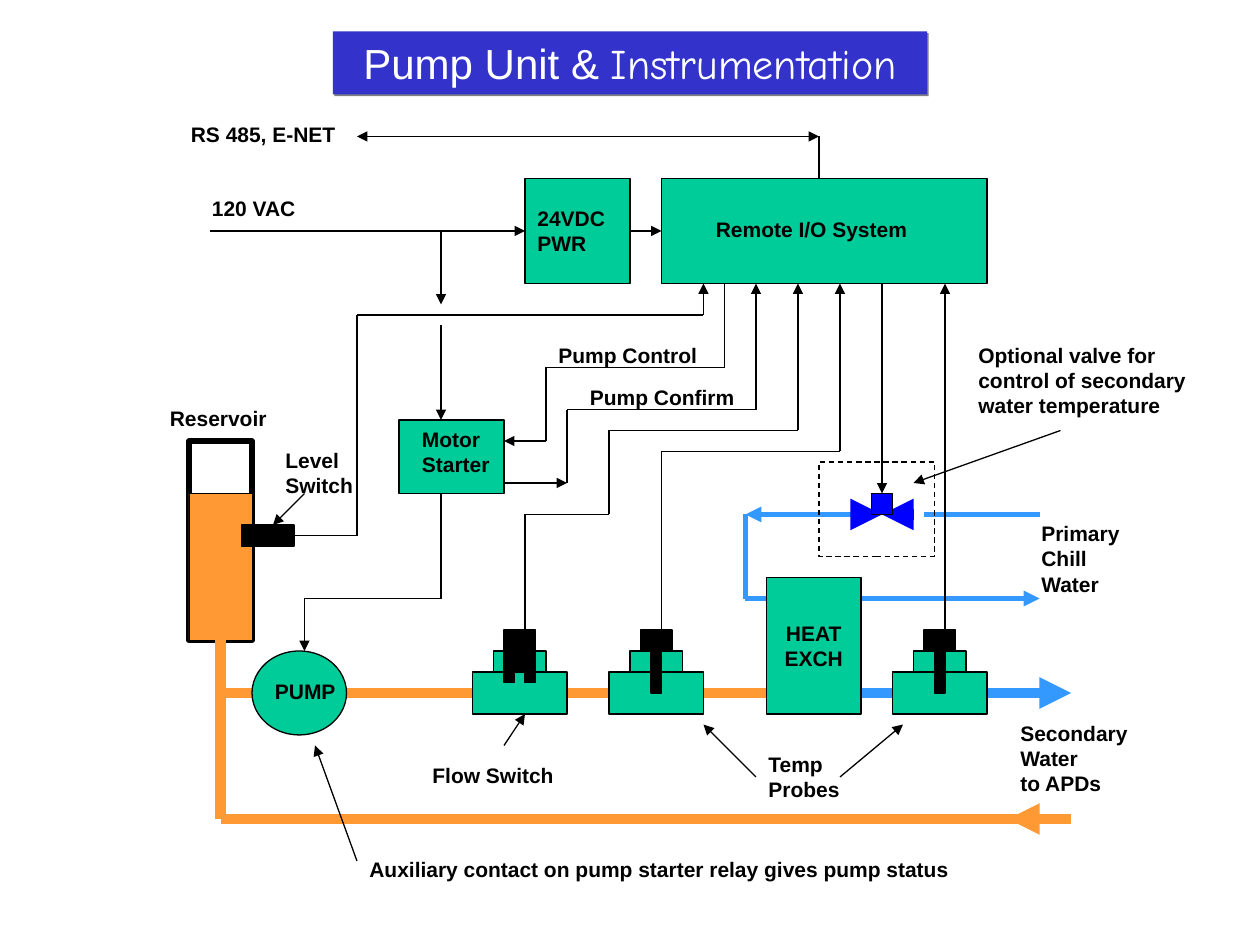
from dataclasses import dataclass
from itertools import pairwise

from lxml import etree
from pptx import Presentation
from pptx import util as u
from pptx.dml.color import RGBColor
from pptx.enum import dml, shapes, text
from pptx.oxml.ns import qn

COLORS = {
    "black": "000000", "white": "FFFFFF", "green": "00CC99", "orange": "FF9933",
    "water": "3399FF", "valve": "0000FF", "title": "3333CC", "shadow": "808080",
}
CELL_CM = 2.54 / 12  # the drawing sits on a grid of twelve cells to the inch
Point = tuple[float, float]


@dataclass
class Block:
    left: float
    top: float
    width: float
    height: float
    fill: str | None = "green"
    line: float = 0.75
    kind: shapes.MSO_SHAPE = shapes.MSO_SHAPE.RECTANGLE
    dashed: bool = False


@dataclass
class Route:
    points: list[Point]
    color: str = "black"
    weight: float = 0.75
    tail: bool = True
    head: bool = False


@dataclass
class Label:
    left: float
    top: float
    width: float
    lines: list[str]


def cells(count: float) -> u.Length:
    return u.Cm(count * CELL_CM)


def rgb(name: str) -> RGBColor:
    return RGBColor.from_string(COLORS[name])


def draw_block(page, block: Block):
    shape = page.shapes.add_shape(
        block.kind, *map(cells, (block.left, block.top, block.width, block.height)))
    shape.shadow.inherit = False
    if block.fill:
        shape.fill.solid()
        shape.fill.fore_color.rgb = rgb(block.fill)
    else:
        shape.fill.background()
    if block.line:
        shape.line.color.rgb = rgb("black")
        shape.line.width = u.Pt(block.line)
    else:
        shape.line.fill.background()
    if block.dashed:
        shape.line.dash_style = dml.MSO_LINE.DASH
    return shape


def draw_route(page, route: Route) -> None:
    """Joins the points with straight lines, arrowheads only at the ends."""
    legs = list(pairwise(route.points))
    for index, (start, end) in enumerate(legs):
        line = page.shapes.add_connector(
            shapes.MSO_CONNECTOR.STRAIGHT, *map(cells, (*start, *end)))
        line.line.color.rgb = rgb(route.color)
        line.line.width = u.Pt(route.weight)
        outline = line.line._get_or_add_ln()
        if route.head and index == 0:
            etree.SubElement(outline, qn("a:headEnd"), type="triangle")
        if route.tail and index == len(legs) - 1:
            etree.SubElement(outline, qn("a:tailEnd"), type="triangle")
        etree.SubElement(line._element.spPr, qn("a:effectLst"))


def write_lines(shape, lines: list[str], align=text.PP_ALIGN.LEFT) -> None:
    frame = shape.text_frame
    frame.word_wrap = True
    for index, words in enumerate(lines):
        para = frame.add_paragraph() if index else frame.paragraphs[0]
        para.text = words
        para.alignment = align
        para.font.name, para.font.size, para.font.bold = "Arial", u.Pt(12), True
        para.font.color.rgb = rgb("black")


def draw_label(page, label: Label) -> None:
    box = page.shapes.add_textbox(
        *map(cells, (label.left, label.top, label.width, 1.2 + 2.4 * len(label.lines))))
    write_lines(box, label.lines)


def draw_title(page) -> None:
    banner = draw_block(page, Block(31.7, 3, 56.6, 6, "title", 0))
    effects = banner._element.spPr.find(qn("a:effectLst"))
    shadow = etree.SubElement(effects, qn("a:outerShdw"), dist=str(u.Pt(1.4)),
                              dir="2700000", algn="ctr", rotWithShape="0")
    etree.SubElement(shadow, qn("a:srgbClr"), val=COLORS["shadow"])
    para = banner.text_frame.paragraphs[0]
    para.alignment = text.PP_ALIGN.CENTER
    para.font.size = u.Pt(24)
    para.font.color.rgb = rgb("white")
    for words, font in (("Pump Unit & ", "Arial"), ("Instrumentation", "Comic Neue")):
        span = para.add_run()
        span.text, span.font.name = words, font


def fitting(left: float, probe: list[Block]) -> list[Block]:
    """A pipe fitting with its sensor head and the given probe parts."""
    return [Block(left, 64, 9, 4), Block(left + 2, 62, 5, 2),
            Block(left + 3, 60, 3, 2, "black"), *probe]


def temp_fitting(left: float) -> list[Block]:
    return fitting(left, [Block(left + 4, 62, 1, 4, "black")])


TANK = [Block(18, 42, 6, 19, "white", 3), Block(18, 47, 6, 14, "orange", 0.25)]
HEAT_EXCHANGER = Block(73, 55, 9, 13)
FLOW_PROBE = [Block(48, 62, 3, 2, "black"), Block(48, 64, 1, 1, "black"),
              Block(50, 64, 1, 1, "black")]
UNITS = [
    Block(24, 62, 9, 8, kind=shapes.MSO_SHAPE.OVAL),  # pump
    Block(23, 50, 5, 2, "black"),  # level switch
    *temp_fitting(58), *temp_fitting(85), *fitting(45, FLOW_PROBE),
    Block(63, 17, 31, 10),  # remote I/O
    Block(38, 40, 10, 7),  # motor starter
    Block(50, 17, 10, 10),  # power supply
]
VALVE = [Block(83, 47, 2, 2, "valve"), Block(78, 44, 11, 9, None, dashed=True)]

PIPES = [
    *(Route(points, "orange", 6, tail=False) for points in (
        [(21, 60), (21, 78)], [(21, 66), (24, 66)], [(33, 66), (45, 66)],
        [(54, 66), (58, 66)], [(67, 66), (73, 66)], [(21, 78), (102, 78)])),
    Route([(100, 78), (96, 78)], "orange", 6),
    Route([(82, 66), (85, 66)], "water", 6, tail=False),
    Route([(94, 66), (98, 66), (102, 66)], "water", 6),
    Route([(73, 57), (71, 57), (71, 49)], "water", 3, tail=False),
    Route([(81, 49), (75, 49), (71, 49)], "water", 3),
    Route([(82, 57), (84, 57), (95, 57), (99, 57)], "water", 3),
    Route([(88, 49), (99, 49)], "water", 3, tail=False),
    Route([(81, 49), (84, 49)], "valve", 6),
    Route([(87, 49), (84, 49)], "valve", 6),
]
WIRES = [
    Route([(34, 13), (78, 13)], head=True),
    Route([(78, 13), (78, 17)], tail=False),
    *(Route(points) for points in (
        # power
        [(20, 22), (50, 22)], [(60, 22), (63, 22)], [(42, 22), (42, 29)],
        [(42, 31), (42, 40)], [(42, 47), (42, 57), (29, 57), (29, 62)],
        # signals to and from the remote I/O
        [(28, 51), (34, 51), (34, 30), (67, 30), (67, 27)],
        [(69, 27), (69, 35), (52, 35), (52, 42), (48, 42)],
        [(48, 46), (54, 46)], [(54, 46), (54, 39), (72, 39), (72, 27)],
        [(50, 60), (50, 49), (58, 49), (58, 41), (76, 41), (76, 27)],
        [(63, 60), (63, 43), (80, 43), (80, 27)],
        [(84, 27), (84, 47)], [(90, 60), (90, 27)],
        # callouts
        [(80, 74), (86, 69)], [(72, 74), (67, 69)], [(48, 71), (50, 68)],
        [(29, 47), (26, 50)], [(34, 82), (30, 71)], [(101, 41), (87, 46)])),
]
# label widths leave about a cell to spare, so that no line wraps
LABELS = [
    Label(17, 11, 17.5, ["RS 485, E-NET"]),
    Label(19, 18, 11.5, ["120 VAC"]),
    Label(50, 19, 10, ["24VDC", "PWR"]),
    Label(67, 20, 24.7, ["Remote I/O System"]),
    Label(52, 32, 17, ["Pump Control"]),
    Label(55, 36, 17, ["Pump Confirm"]),
    Label(39, 40, 10, ["Motor", "Starter"]),
    Label(15, 38, 12.5, ["Reservoir"]),
    Label(26, 42, 10, ["Level", "Switch"]),
    Label(92, 32, 23.5, ["Optional valve for", "control of secondary", "water temperature"]),
    Label(98, 49, 11, ["Primary", "Chill", "Water"]),
    Label(96, 68, 13.5, ["Secondary", "Water", "to APDs"]),
    Label(25, 64, 9.5, ["PUMP"]),
    Label(40, 72, 15, ["Flow Switch"]),
    Label(72, 71, 10.5, ["Temp", "Probes"]),
    Label(34, 81, 59, ["Auxiliary contact on pump starter relay gives pump status"]),
]


def main() -> None:
    deck = Presentation()
    deck.slide_width, deck.slide_height = u.Cm(25.4), u.Cm(19.05)
    page = deck.slides.add_slide(deck.slide_layouts[6])
    draw_title(page)
    for block in TANK:
        draw_block(page, block)
    for pipe in PIPES:
        draw_route(page, pipe)
    write_lines(draw_block(page, HEAT_EXCHANGER), ["HEAT", "EXCH"], text.PP_ALIGN.CENTER)
    for block in UNITS + VALVE:
        draw_block(page, block)
    for wire in WIRES:
        draw_route(page, wire)
    for label in LABELS:
        draw_label(page, label)
    deck.save("out.pptx")


if __name__ == "__main__":
    main()
